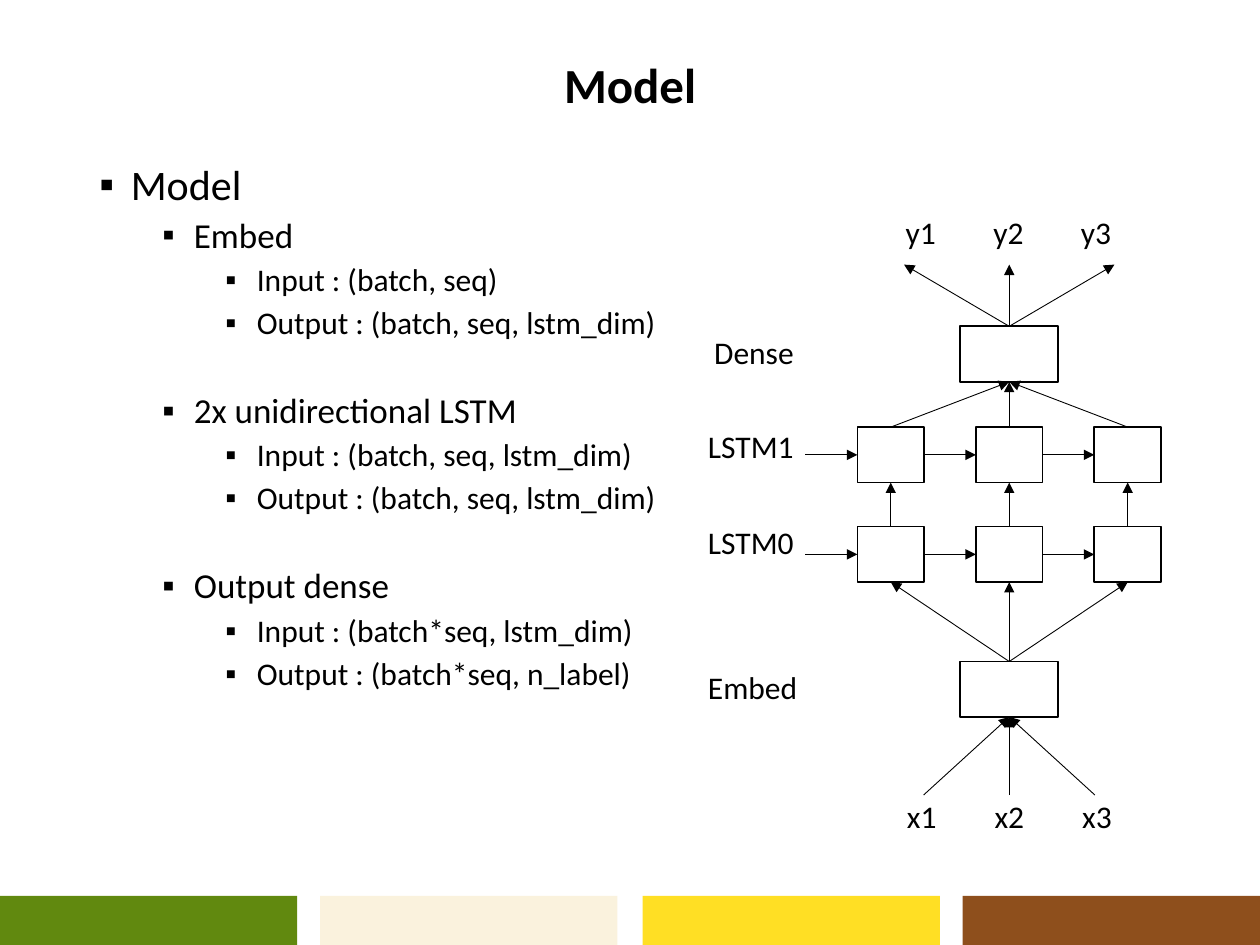
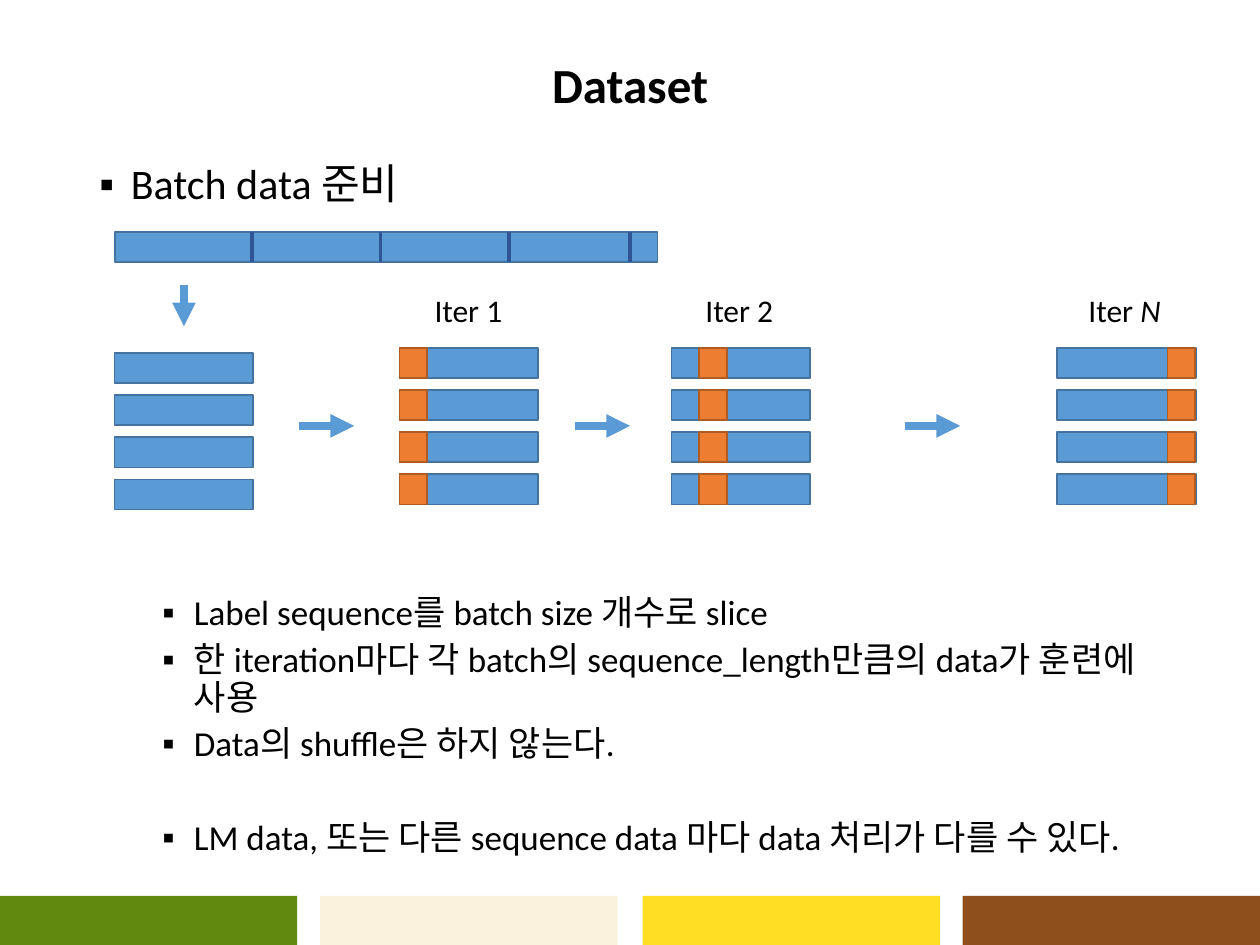
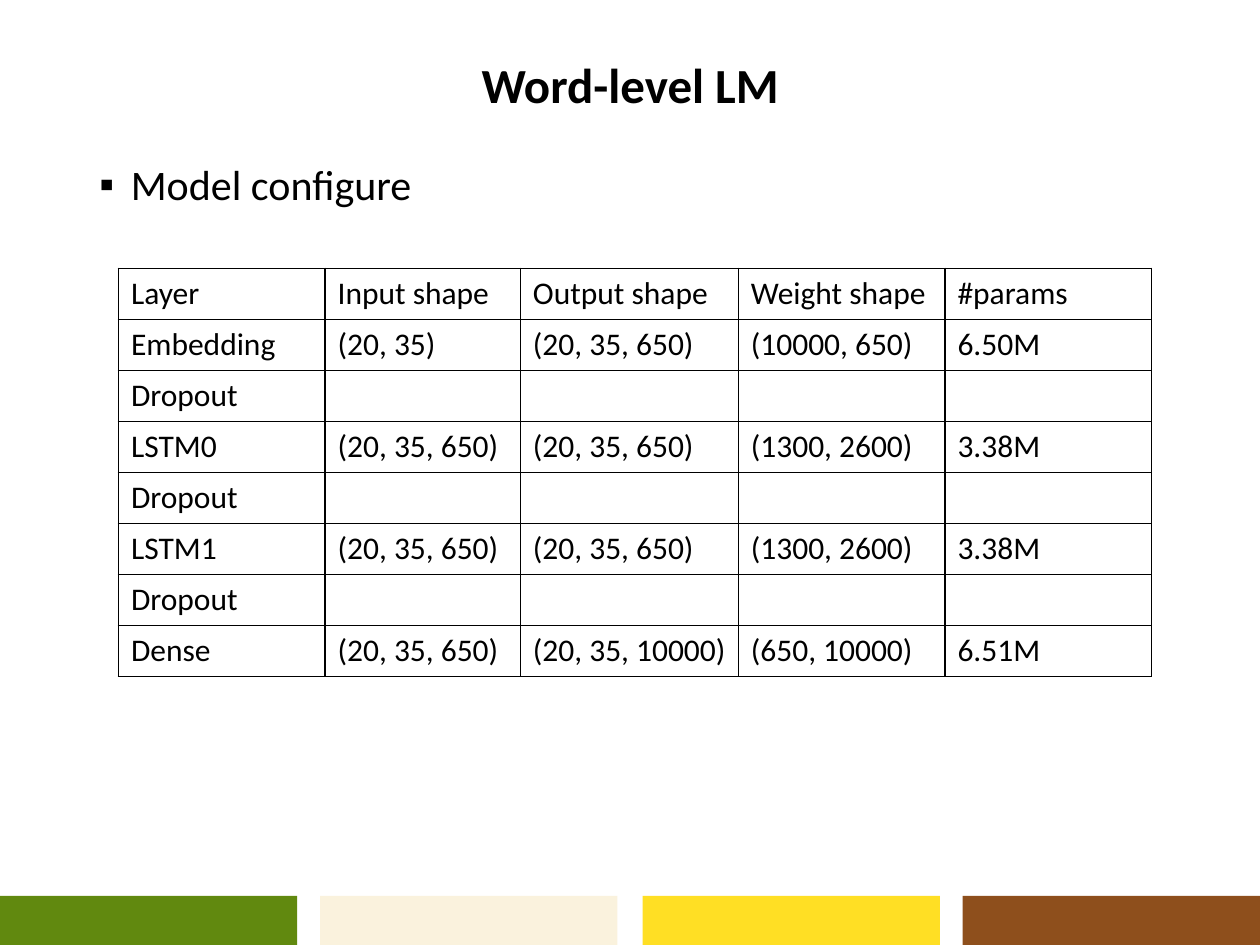
"""Build three slides on an LSTM language model: diagram, batching and layer table."""

import dataclasses
import itertools
import typing

import lxml.etree
import pptx
import pptx.dml.color
import pptx.enum.shapes
import pptx.enum.text
import pptx.oxml.ns
import pptx.util

COLORS = {
    "green": "61890F",
    "cream": "FAF2DD",
    "yellow": "FFDF24",
    "brown": "8E4F1C",
    "black": "000000",
    "white": "FFFFFF",
    "blue": "5B9BD5",
    "blue edge": "43739E",
    "navy": "2F5597",
    "orange": "ED7D31",
    "orange edge": "AF5C24",
}
FONT = "Calibri"
COLUMNS, ROWS = 100, 75
SLIDE_WIDTH, SLIDE_HEIGHT = pptx.util.Inches(10), pptx.util.Inches(7.5)
BULLET_SIZES = (24, 20, 18)
BULLET_INDENTS = (0.25, 0.75, 1.25)


@dataclasses.dataclass(frozen=True)
class Area:
    left: float
    top: float
    width: float
    height: float

    def lengths(self) -> tuple[int, int, int, int]:
        return across(self.left), down(self.top), across(self.width), down(self.height)


class Point(typing.NamedTuple):
    x: float
    y: float


class Bullet(typing.NamedTuple):
    text: str
    level: int = 0
    before: float = 5


class Label(typing.NamedTuple):
    text: str
    left: float
    top: float
    width: float


class Stack(typing.NamedTuple):
    left: float
    mark: float
    label: Label
    suffix: str = ""


BANDS = {"green": 0, "cream": 25.4, "yellow": 51, "brown": 76.4}
TITLE_AREA = Area(6.9, 4, 86.2, 5.9)
BODY_AREA = Area(6.9, 12.5, 86.2, 55.1)


def across(columns: float) -> int:
    return round(SLIDE_WIDTH * columns / COLUMNS)


def down(rows: float) -> int:
    return round(SLIDE_HEIGHT * rows / ROWS)


def color(name: str) -> pptx.dml.color.RGBColor:
    return pptx.dml.color.RGBColor.from_string(COLORS[name])


def add_element(parent: typing.Any, tag: str, **attributes: str) -> typing.Any:
    return lxml.etree.SubElement(parent, pptx.oxml.ns.qn(tag), attributes)


def add_rectangle(shapes: typing.Any, area: Area, fill: str, edge: str | None = None) -> None:
    box = shapes.add_shape(pptx.enum.shapes.MSO_SHAPE.RECTANGLE, *area.lengths())
    box.shadow.inherit = False
    box.fill.solid()
    box.fill.fore_color.rgb = color(fill)
    if edge is None:
        box.line.fill.background()
    else:
        box.line.color.rgb = color(edge)
        box.line.width = pptx.util.Pt(1)


def add_line(page: typing.Any, start: Point, end: Point, *, stroke: str = "black",
             weight: float = 0.5, arrow: bool = True) -> None:
    line = page.shapes.add_connector(
        pptx.enum.shapes.MSO_CONNECTOR.STRAIGHT,
        across(start.x), down(start.y), across(end.x), down(end.y))
    line.line.color.rgb = color(stroke)
    line.line.width = pptx.util.Pt(weight)
    if arrow:
        add_element(line.line._get_or_add_ln(), "a:tailEnd", type="triangle")
    add_element(line._element.spPr, "a:effectLst")


def add_span(para: typing.Any, text: str, *, size: float = 18,
             bold: bool = False, italic: bool = False) -> None:
    span = para.add_run()
    span.text = text
    span.font.name = FONT
    span.font.size = pptx.util.Pt(size)
    span.font.bold = bold
    span.font.italic = italic
    span.font.color.rgb = color("black")


def add_frame(page: typing.Any, area: Area, wrap: bool = True) -> typing.Any:
    frame = page.shapes.add_textbox(*area.lengths()).text_frame
    frame.word_wrap = wrap
    return frame


def add_label(page: typing.Any, label: Label) -> typing.Any:
    frame = add_frame(page, Area(label.left, label.top, label.width, 4), wrap=False)
    frame.auto_size = pptx.enum.text.MSO_AUTO_SIZE.SHAPE_TO_FIT_TEXT
    add_span(frame.paragraphs[0], label.text)
    return frame.paragraphs[0]


def add_bullets(page: typing.Any, bullets: list[Bullet], area: Area = BODY_AREA) -> None:
    frame = add_frame(page, area)
    for index, bullet in enumerate(bullets):
        para = frame.add_paragraph() if index else frame.paragraphs[0]
        para.level = bullet.level
        para.line_spacing = 0.9
        para.space_before = pptx.util.Pt(bullet.before)
        properties = para._p.get_or_add_pPr()
        properties.set("marL", str(pptx.util.Inches(BULLET_INDENTS[bullet.level])))
        properties.set("indent", str(pptx.util.Inches(-0.25)))
        add_element(properties, "a:buFont", typeface="Arial")
        add_element(properties, "a:buChar", char="▪")
        add_span(para, bullet.text, size=BULLET_SIZES[bullet.level])


def add_page(deck: typing.Any, title: str) -> typing.Any:
    page = deck.slides.add_slide(deck.slide_layouts[6])
    for fill, left in BANDS.items():
        add_rectangle(page.shapes, Area(left, 71.1, 23.6, 3.9), fill)
    frame = add_frame(page, TITLE_AREA)
    frame.vertical_anchor = pptx.enum.text.MSO_ANCHOR.MIDDLE
    para = frame.paragraphs[0]
    para.alignment = pptx.enum.text.PP_ALIGN.CENTER
    para.line_spacing = 0.9
    add_span(para, title, size=28, bold=True)
    return page


def spread(middle: float, step: float, y: float) -> list[Point]:
    return [Point(middle + step * offset, y) for offset in (-1, 0, 1)]


def draw_network(page: typing.Any) -> None:
    middle, step, cell_width, height = 80.1, 9.4, 5.3, 4.4
    dense, upper, lower, embed = 25.9, 33.9, 41.8, 52.5
    for top in (embed, dense):
        add_rectangle(page.shapes, Area(middle - 3.9, top, 7.8, height), "white", "black")
    for top in (lower, upper):
        source = 63.9
        for center in spread(middle, step, top + height / 2):
            left = center.x - cell_width / 2
            add_rectangle(page.shapes, Area(left, top, cell_width, height), "white", "black")
            add_line(page, Point(source, center.y), Point(left, center.y))
            source = left + cell_width

    for start in spread(middle, 6.8, 63.1):
        add_line(page, start, Point(middle, embed + height))
    for end in spread(middle, step, lower + height):
        add_line(page, Point(middle, embed), end)
    for start, end in zip(spread(middle, step, lower), spread(middle, step, upper + height)):
        add_line(page, start, end)
    for start in spread(middle, step, upper):
        add_line(page, start, Point(middle, dense + height))
    for end in spread(middle, 8.35, 21):
        add_line(page, Point(middle, dense), end)

    for letter, left, top in (("x", 71, 62.8), ("y", 70.9, 16.4)):
        for index in range(3):
            add_label(page, Label(f"{letter}{index + 1}", left + 6.95 * index, top, 4.4))
    for label in (Label("Dense", 55.7, 25.9, 8.4), Label("LSTM1", 55.2, 33.4, 8.9),
                  Label("LSTM0", 55.2, 41, 8.9), Label("Embed", 55.2, 52.5, 9.2)):
        add_label(page, label)


def add_bars(shapes: typing.Any, left: float, top: float, width: float,
             fill: str, edge: str) -> None:
    for index in range(4):
        add_rectangle(shapes, Area(left, top + 3.35 * index, width, 2.4), fill, edge)


def draw_batches(page: typing.Any) -> None:
    add_rectangle(page.shapes, Area(9.1, 18.4, 43.1, 2.4), "blue", "blue edge")
    add_bars(page.shapes, 9.1, 28, 11, "blue", "blue edge")
    for x in (20, 30.2, 40.4, 50):
        add_line(page, Point(x, 18.4), Point(x, 20.8), stroke="navy", weight=2.25, arrow=False)
    for stack in (Stack(31.7, 0, Label("Iter 1", 33.5, 22.6, 7.5)),
                  Stack(53.3, 2.2, Label("Iter 2", 55, 22.6, 7.5)),
                  Stack(83.9, 8.75, Label("Iter ", 85.4, 22.6, 7.8), "N")):
        group = page.shapes.add_group_shape()
        add_bars(group.shapes, stack.left, 27.6, 11, "blue", "blue edge")
        add_bars(group.shapes, stack.left + stack.mark, 27.6, 2.2, "orange", "orange edge")
        para = add_label(page, stack.label)
        if stack.suffix:
            add_span(para, stack.suffix, italic=True)
    add_line(page, Point(14.6, 22.6), Point(14.6, 25.9), stroke="blue", weight=4.5)
    for x in (23.7, 45.6, 71.8):
        add_line(page, Point(x, 33.8), Point(x + 4.4, 33.8), stroke="blue", weight=4.5)


def format_cell(cell: typing.Any, text: str) -> None:
    properties = cell._tc.get_or_add_tcPr()
    for side in "LRTB":
        border = add_element(properties, f"a:ln{side}", w=str(pptx.util.Pt(1)))
        fill = add_element(border, "a:solidFill")
        add_element(fill, "a:srgbClr", val=COLORS["black"])
    cell.fill.background()
    if text:
        add_span(cell.text_frame.paragraphs[0], text)


def add_grid(page: typing.Any, left: float, top: float, widths: list[float],
             row_height: float, rows: list[tuple[str, ...]]) -> None:
    area = Area(left, top, sum(widths), row_height * len(rows))
    table = page.shapes.add_table(len(rows), len(widths), *area.lengths()).table
    table.first_row = False
    table.horz_banding = False
    for column, width in zip(table.columns, widths):
        column.width = across(width)
    for row, texts in zip(table.rows, rows):
        row.height = down(row_height)
        for cell, text in itertools.zip_longest(row.cells, texts, fillvalue=""):
            format_cell(cell, text)


def build_model(deck: typing.Any) -> None:
    page = add_page(deck, "Model")
    add_bullets(page, [
        Bullet("Model", before=10),
        Bullet("Embed", 1),
        Bullet("Input : (batch, seq)", 2),
        Bullet("Output : (batch, seq, lstm_dim)", 2),
        Bullet("2x unidirectional LSTM", 1, 29.8),
        Bullet("Input : (batch, seq, lstm_dim)", 2),
        Bullet("Output : (batch, seq, lstm_dim)", 2),
        Bullet("Output dense", 1, 29.8),
        Bullet("Input : (batch*seq, lstm_dim)", 2),
        Bullet("Output : (batch*seq, n_label)", 2),
    ])
    draw_network(page)


def build_dataset(deck: typing.Any) -> None:
    page = add_page(deck, "Dataset")
    add_bullets(page, [
        Bullet("Batch data 준비", before=10),
        Bullet("Label sequence를 batch size 개수로 slice", 1, 221),
        Bullet("한 iteration마다 각 batch의 sequence_length만큼의 data가 훈련에 사용", 1),
        Bullet("Data의 shuffle은 하지 않는다.", 1),
        Bullet("LM data, 또는 다른 sequence data 마다 data 처리가 다를 수 있다.", 1, 32),
    ], dataclasses.replace(BODY_AREA, height=57.4))
    draw_batches(page)


def build_configuration(deck: typing.Any) -> None:
    page = add_page(deck, "Word-level LM")
    add_bullets(page, [Bullet("Model configure", before=10)])
    dropout = ("Dropout",)
    sequence = "(20, 35, 650)"
    lstm = (sequence, sequence, "(1300, 2600)", "3.38M")
    add_grid(page, 9.4, 21.3, [16.4, 15.5, 17.3, 16.4, 16.4], 4.05, [
        ("Layer", "Input shape", "Output shape", "Weight shape", "#params"),
        ("Embedding", "(20, 35)", sequence, "(10000, 650)", "6.50M"),
        dropout,
        ("LSTM0", *lstm),
        dropout,
        ("LSTM1", *lstm),
        dropout,
        ("Dense", sequence, "(20, 35, 10000)", "(650, 10000)", "6.51M"),
    ])


def main() -> None:
    deck = pptx.Presentation()
    deck.slide_width, deck.slide_height = SLIDE_WIDTH, SLIDE_HEIGHT
    build_model(deck)
    build_dataset(deck)
    build_configuration(deck)
    deck.save("out.pptx")


main()
